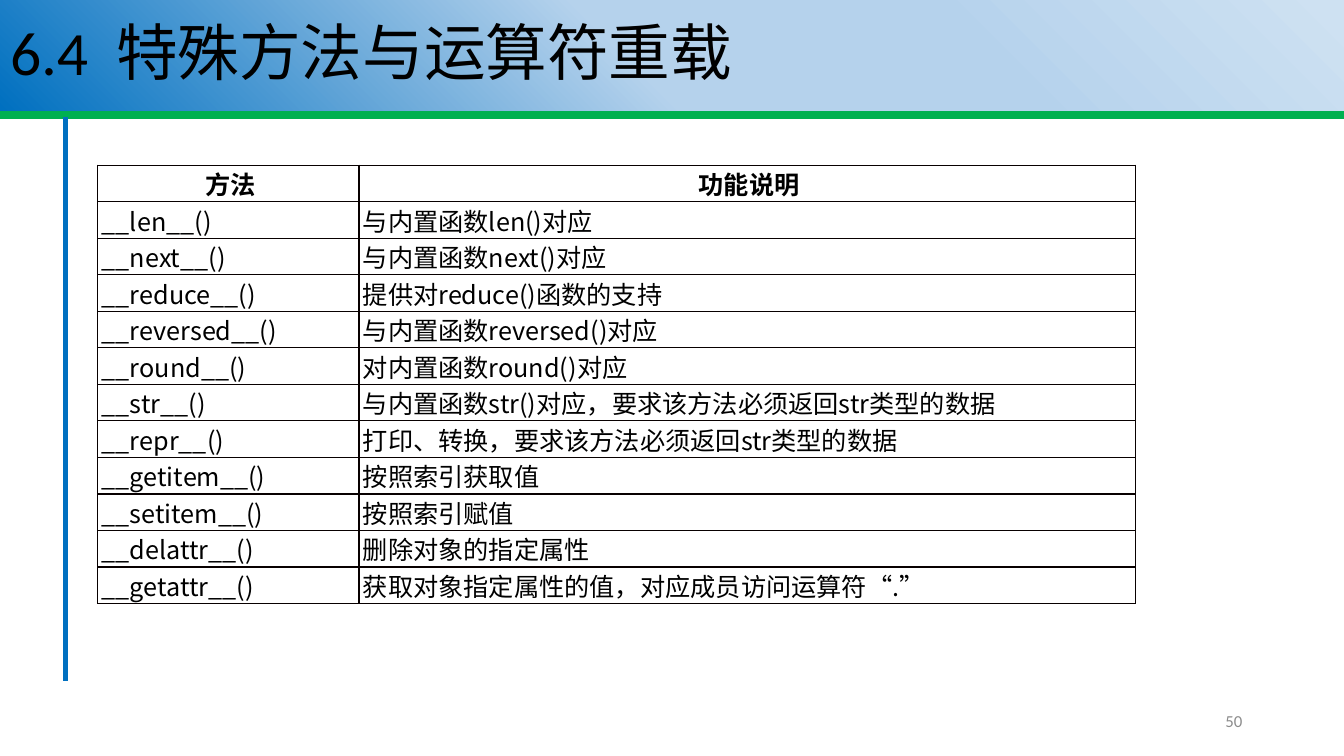
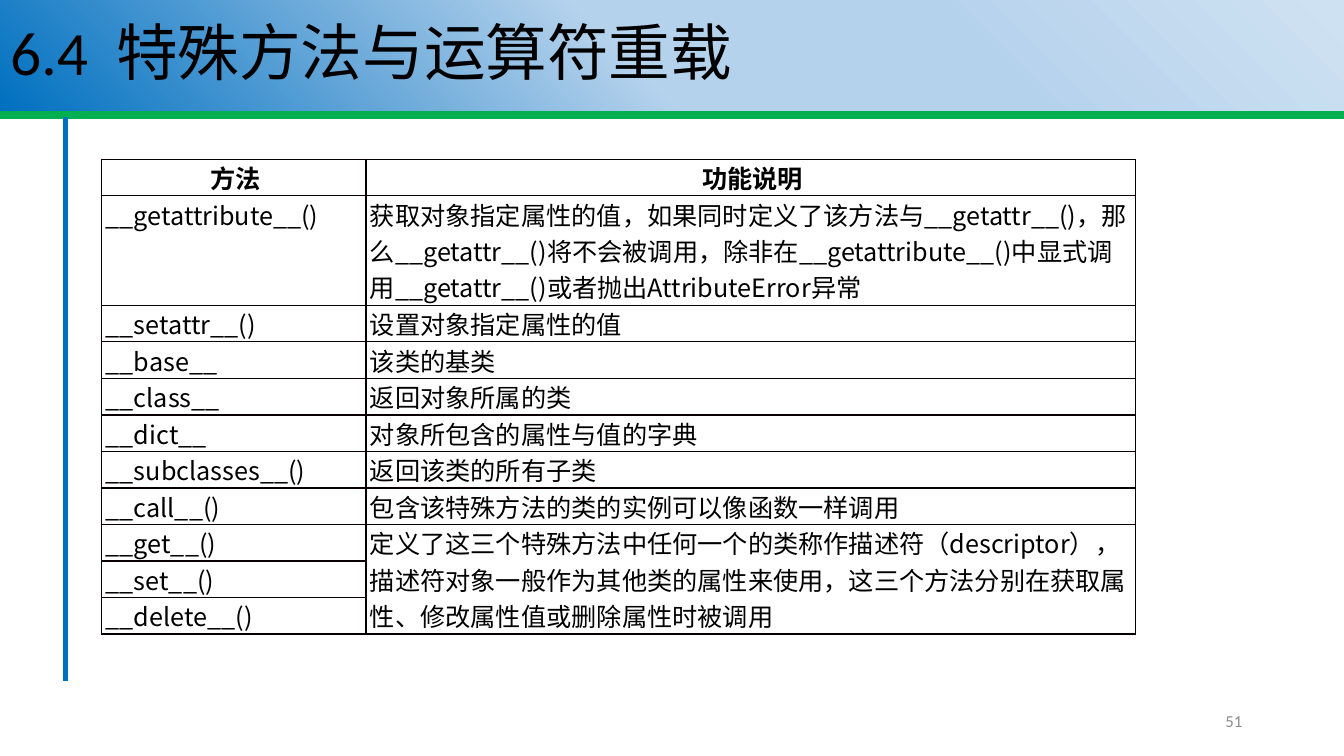
from dataclasses import dataclass

from lxml.etree import SubElement
from pptx import Presentation
from pptx.dml.color import RGBColor
from pptx.enum.shapes import MSO_CONNECTOR
from pptx.enum.text import MSO_ANCHOR, MSO_AUTO_SIZE, PP_ALIGN
from pptx.oxml import parse_xml
from pptx.oxml.ns import nsdecls, qn
from pptx.slide import Slide, SlideLayout
from pptx.table import _Cell
from pptx.text.text import _Paragraph
from pptx.util import Inches, Pt

BLACK = RGBColor(0x00, 0x00, 0x00)
BORDER = RGBColor(0x08, 0x00, 0x00)
GREEN = RGBColor(0x00, 0xB0, 0x50)
BLUE = RGBColor(0x00, 0x70, 0xC0)
SKY = RGBColor(0xB5, 0xD2, 0xEC)
PALE = RGBColor(0xCE, 0xE1, 0xF2)
GRAY = RGBColor(0x8C, 0x8C, 0x8C)
BAND_STOPS = ((1, PALE), (29, SKY), (53, SKY), (100, BLUE))
LATIN_FONT = "Calibri"
CHINESE_FONT = "Noto Sans CJK SC"
TITLE = "6.4  特殊方法与运算符重载"
LINE_HEIGHT = 4.35 / 12


@dataclass(frozen=True)
class Rule:
    start: tuple[float, float]
    end: tuple[float, float]
    color: RGBColor
    width: float


@dataclass(frozen=True)
class Method:
    name: str
    description: str = ""
    lines: int = 1
    span: int = 1


@dataclass(frozen=True)
class MethodPage:
    number: int
    left: float
    top: float
    columns: tuple[float, float]
    methods: tuple[Method, ...]


RULES = (
    Rule((0, 1.14), (13.33, 1.14), GREEN, 5.25),
    Rule((0.65, 1.16), (0.65, 6.76), BLUE, 3.75),
)

PAGES = (
    MethodPage(50, 0.97, 1.64, (2.59, 7.7), (
        Method("__len__()", "与内置函数len()对应"),
        Method("__next__()", "与内置函数next()对应"),
        Method("__reduce__()", "提供对reduce()函数的支持"),
        Method("__reversed__()", "与内置函数reversed()对应"),
        Method("__round__()", "对内置函数round()对应"),
        Method("__str__()", "与内置函数str()对应，要求该方法必须返回str类型的数据"),
        Method("__repr__()", "打印、转换，要求该方法必须返回str类型的数据"),
        Method("__getitem__()", "按照索引获取值"),
        Method("__setitem__()", "按照索引赋值"),
        Method("__delattr__()", "删除对象的指定属性"),
        Method("__getattr__()", "获取对象指定属性的值，对应成员访问运算符“.”"),
    )),
    MethodPage(51, 1.01, 1.58, (2.62, 7.63), (
        Method("__getattribute__()",
               "获取对象指定属性的值，如果同时定义了该方法与__getattr__()，"
               "那么__getattr__()将不会被调用，除非在__getattribute__()中显式调用"
               "__getattr__()或者抛出AttributeError异常", lines=3),
        Method("__setattr__()", "设置对象指定属性的值"),
        Method("__base__", "该类的基类"),
        Method("__class__", "返回对象所属的类"),
        Method("__dict__", "对象所包含的属性与值的字典"),
        Method("__subclasses__()", "返回该类的所有子类"),
        Method("__call__()", "包含该特殊方法的类的实例可以像函数一样调用"),
        Method("__get__()",
               "定义了这三个特殊方法中任何一个的类称作描述符（descriptor），"
               "描述符对象一般作为其他类的属性来使用，这三个方法分别在获取属性、"
               "修改属性值或删除属性时被调用", span=3),
        Method("__set__()"),
        Method("__delete__()"),
    )),
)


def format_text(para: _Paragraph, font: str, size: float, color: RGBColor,
                align: PP_ALIGN = PP_ALIGN.LEFT, bold: bool = False) -> None:
    para.alignment = align
    for span in para.runs:
        span.font.name = font
        span.font.size = Pt(size)
        span.font.bold = bold
        span.font.color.rgb = color
        east_asian = SubElement(span.font._element, qn("a:ea"))
        east_asian.set("typeface", CHINESE_FONT)


def add_layout_rules(page: Slide, layout: SlideLayout) -> None:
    for rule in RULES:
        line = page.shapes.add_connector(
            MSO_CONNECTOR.STRAIGHT,
            *map(Inches, rule.start + rule.end))
        line.line.color.rgb = rule.color
        line.line.width = Pt(rule.width)
        SubElement(line._element.spPr, qn("a:effectLst"))
        layout.shapes._spTree.append(line._element)


def add_title(page: Slide) -> None:
    title = page.shapes.title
    title.left, title.top = Inches(0), Inches(0)
    title.width, title.height = Inches(13.33), Inches(1.1)
    stops = "".join(
        f'<a:gs pos="{position * 1000}"><a:srgbClr val="{color}"/></a:gs>'
        for position, color in BAND_STOPS)
    title._element.spPr.append(parse_xml(
        f'<a:gradFill {nsdecls("a")} rotWithShape="1"><a:gsLst>{stops}</a:gsLst>'
        '<a:lin ang="8100000" scaled="0"/></a:gradFill>'))
    frame = title.text_frame
    frame.text = TITLE
    frame.auto_size = MSO_AUTO_SIZE.NONE
    frame.vertical_anchor = MSO_ANCHOR.MIDDLE
    para = frame.paragraphs[0]
    para.line_spacing = 0.9
    format_text(para, LATIN_FONT, 44, BLACK)


def add_page_number(page: Slide, number: int) -> None:
    box = page.shapes.add_textbox(Inches(9.42), Inches(6.95), Inches(3), Inches(0.4))
    frame = box.text_frame
    frame.word_wrap = True
    frame.vertical_anchor = MSO_ANCHOR.MIDDLE
    frame.text = str(number)
    format_text(frame.paragraphs[0], LATIN_FONT, 12, GRAY, PP_ALIGN.RIGHT)


def format_cell(cell: _Cell, header: bool) -> None:
    cell.margin_left = Inches(0.04)
    cell.margin_right = cell.margin_top = cell.margin_bottom = Inches(0)
    cell.vertical_anchor = MSO_ANCHOR.TOP
    properties = cell._tc.get_or_add_tcPr()
    for side in ("lnL", "lnR", "lnT", "lnB"):
        properties.append(parse_xml(
            f'<a:{side} {nsdecls("a")} w="{Pt(1)}"><a:solidFill>'
            f'<a:srgbClr val="{BORDER}"/></a:solidFill></a:{side}>'))
    cell.fill.background()
    align = PP_ALIGN.CENTER if header else PP_ALIGN.LEFT
    format_text(cell.text_frame.paragraphs[0], CHINESE_FONT, 18, BLACK, align, header)


def add_method_table(page: Slide, content: MethodPage) -> None:
    rows = (Method("方法", "功能说明"),) + content.methods
    line_count = sum(method.lines for method in rows)
    table = page.shapes.add_table(
        len(rows), 2, Inches(content.left), Inches(content.top),
        Inches(sum(content.columns)), Inches(LINE_HEIGHT * line_count)).table
    table.horz_banding = False
    table.first_row = False
    for column, width in zip(table.columns, content.columns):
        column.width = Inches(width)
    for index, method in enumerate(rows):
        table.rows[index].height = Inches(LINE_HEIGHT * method.lines)
        for column, text in enumerate((method.name, method.description)):
            cell = table.cell(index, column)
            if text:
                cell.text_frame.text = text
            format_cell(cell, index == 0)
        if method.span > 1:
            table.cell(index, 1).merge(table.cell(index + method.span - 1, 1))


def main() -> None:
    deck = Presentation()
    deck.slide_width, deck.slide_height = Inches(13.33), Inches(7.5)
    layout = deck.slide_layouts[5]
    for index, content in enumerate(PAGES):
        page = deck.slides.add_slide(layout)
        if index == 0:
            add_layout_rules(page, layout)
        add_title(page)
        add_page_number(page, content.number)
        add_method_table(page, content)
    deck.save("out.pptx")


if __name__ == "__main__":
    main()
